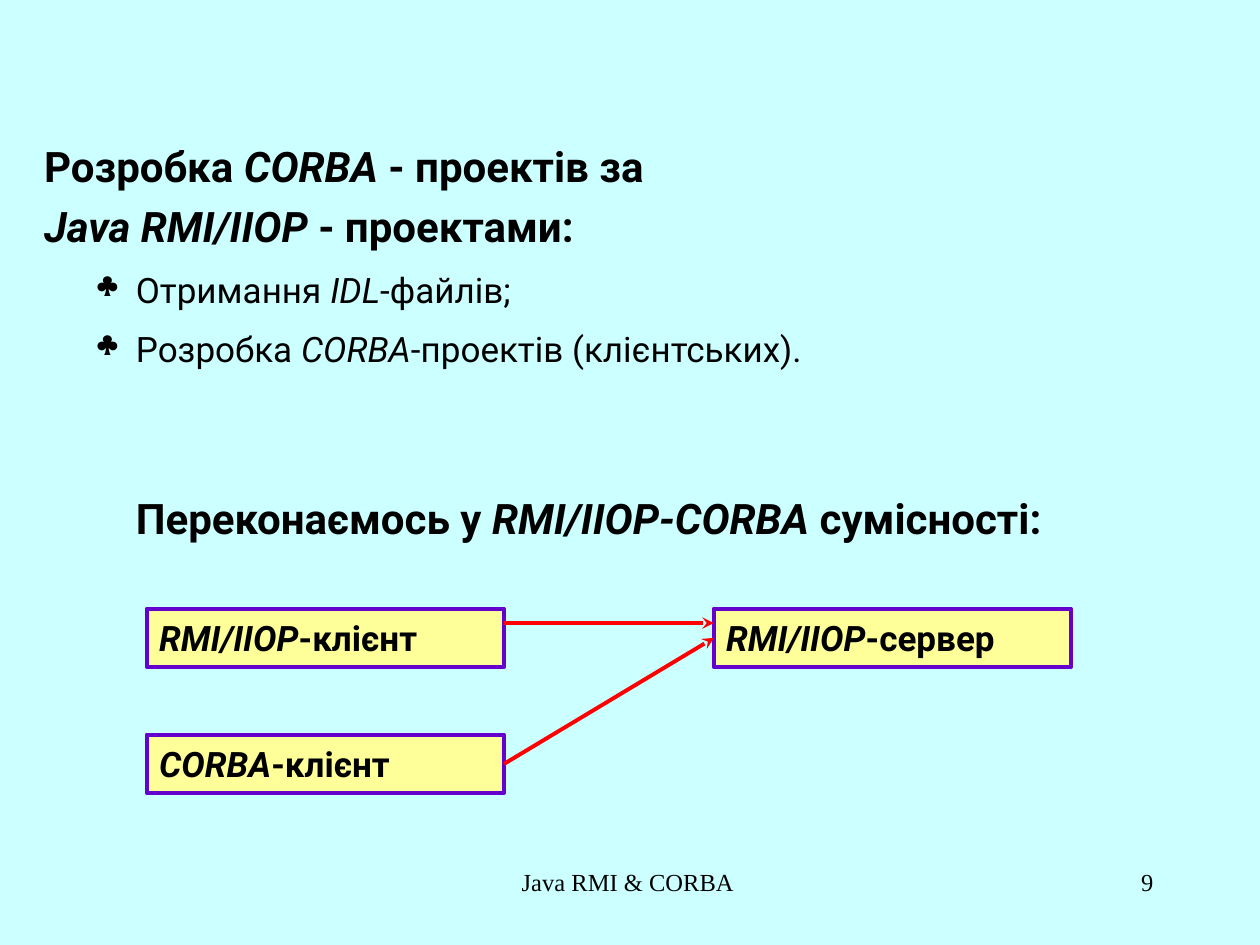
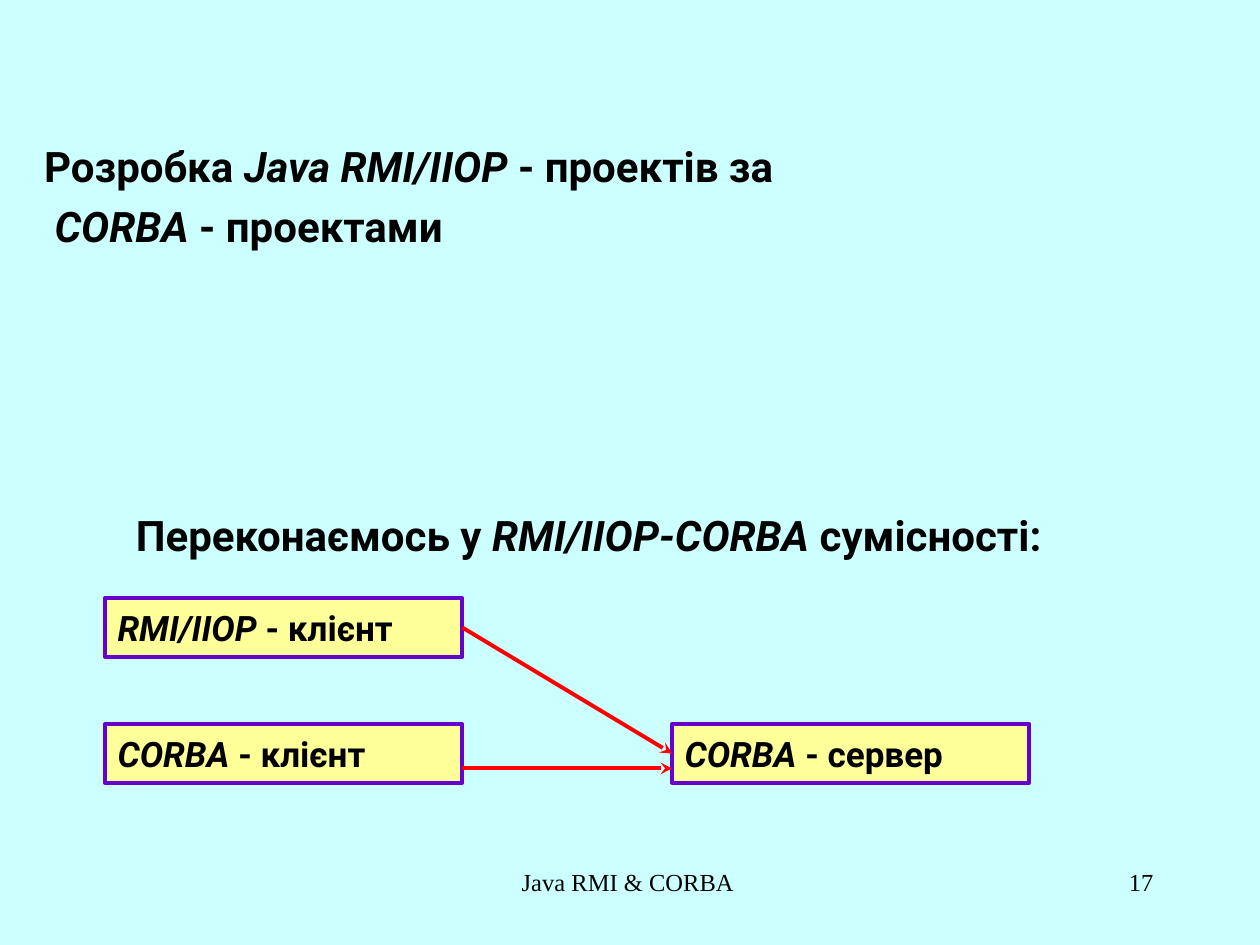
from lxml.etree import SubElement
from pptx import Presentation
from pptx.dml.color import RGBColor
from pptx.enum.shapes import MSO_CONNECTOR, MSO_SHAPE
from pptx.enum.text import MSO_ANCHOR, PP_ALIGN
from pptx.oxml.ns import qn
from pptx.util import Cm, Pt

SKY = RGBColor(0xCC, 0xFF, 0xFF)
YELLOW = RGBColor(0xFF, 0xFF, 0x99)
PURPLE = RGBColor(0x66, 0x00, 0xCC)
RED = RGBColor(0xFF, 0x00, 0x00)
BLACK = RGBColor(0x00, 0x00, 0x00)

BODY_FONT, FOOTER_FONT = "Roboto", "Times New Roman"
RULE_WIDTH = Pt(2.25)
NODE_WIDTH, NODE_HEIGHT = Cm(7.2), Cm(1.18)
COLUMN_STEP, ROW_STEP = Cm(11.43), Cm(2.54)
ARROW_SHIFT = Cm(0.3)
TEXT_INDENT, BULLET_HANG = Cm(1.85), Cm(0.79)

FOOTER = "Java RMI & CORBA "
CLOSING = "Переконаємось у *RMI/IIOP-CORBA* сумісності:"


def write(para, text, size=24, bold=True, font=BODY_FONT, align=PP_ALIGN.LEFT,
          line_spacing=1.0, before=0):
    """Fill a paragraph; asterisks enclose italics and a newline breaks the line."""
    para.alignment = align
    para.line_spacing = line_spacing
    para.space_before = Pt(before)
    for index, part in enumerate(text.split("*")):
        for line_number, line in enumerate(part.split("\n")):
            if line_number:
                para.add_line_break()
            if line:
                span = para.add_run()
                span.text = line
                span.font.name = font
                span.font.size = Pt(size)
                span.font.bold = bold
                span.font.italic = index % 2 == 1
                span.font.color.rgb = BLACK


def indent(para, bullet=None):
    """Indent a paragraph, hanging a bullet in front if one is given."""
    properties = para._p.get_or_add_pPr()
    properties.set("marL", str(TEXT_INDENT))
    properties.set("indent", str(-BULLET_HANG if bullet else 0))
    if bullet:
        color = SubElement(properties, qn("a:buClr"))
        SubElement(color, qn("a:srgbClr"), val=str(BLACK))
        SubElement(properties, qn("a:buSzPct"), val="80000")
        SubElement(properties, qn("a:buChar"), char=bullet)


def add_text_box(page, left, top, width, height):
    """Add an empty wrapping text box and return its frame."""
    frame = page.shapes.add_textbox(left, top, width, height).text_frame
    frame.word_wrap = True
    return frame


def add_body(page, left, top, heading, bullets, closing_gap):
    """Write the heading, the bullet list and the closing line."""
    frame = add_text_box(page, left, top, Cm(23.7), Cm(14.63))
    frame.margin_top = Cm(1.57)
    write(frame.paragraphs[0], heading, line_spacing=1.2)
    for bullet in bullets:
        para = frame.add_paragraph()
        write(para, bullet, size=20, bold=False, line_spacing=1.2, before=5)
        indent(para, "♣")
    para = frame.add_paragraph()
    write(para, CLOSING, line_spacing=1.2, before=closing_gap)
    indent(para)


def add_node(page, left, top, label):
    """Add one framed client or server box."""
    box = page.shapes.add_shape(MSO_SHAPE.RECTANGLE, left, top, NODE_WIDTH, NODE_HEIGHT)
    box.shadow.inherit = False
    box.fill.solid()
    box.fill.fore_color.rgb = YELLOW
    box.line.color.rgb = PURPLE
    box.line.width = RULE_WIDTH
    frame = box.text_frame
    frame.word_wrap = True
    frame.margin_right = 0
    frame.vertical_anchor = MSO_ANCHOR.MIDDLE
    write(frame.paragraphs[0], label, size=20)
    return box


def add_arrow(page, client, server, shift=None):
    """Draw an arrow from client to server, joined unless shifted off the middle."""
    offset = NODE_HEIGHT // 2 + (shift or 0)
    arrow = page.shapes.add_connector(
        MSO_CONNECTOR.STRAIGHT, client.left + client.width, client.top + offset,
        server.left, server.top + offset)
    if shift is None:
        arrow.begin_connect(client, 3)
        arrow.end_connect(server, 1)
    arrow.line.color.rgb = RED
    arrow.line.width = RULE_WIDTH
    SubElement(arrow.line._get_or_add_ln(), qn("a:tailEnd"), type="stealth")
    SubElement(arrow._element.spPr, qn("a:effectLst"))


def add_diagram(page, left, top, clients, server, server_row):
    """Stack the clients on the left and link both to the server on the right."""
    client_boxes = [add_node(page, left, top + row * ROW_STEP, label)
                    for row, label in enumerate(clients)]
    server_box = add_node(page, left + COLUMN_STEP, top + server_row * ROW_STEP, server)
    level_shift = ARROW_SHIFT if server_row else -ARROW_SHIFT
    for row, client_box in enumerate(client_boxes):
        add_arrow(page, client_box, server_box, level_shift if row == server_row else None)


def add_footer(page, top, number):
    """Write the footer title and the page number."""
    for left, width, text, align in (
            (Cm(8.68), Cm(8.05), FOOTER, PP_ALIGN.CENTER),
            (Cm(18.2), Cm(5.3), str(number), PP_ALIGN.RIGHT)):
        frame = add_text_box(page, left, top, width, Cm(1.27))
        write(frame.paragraphs[0], text, size=14, bold=False, font=FOOTER_FONT, align=align)


def add_page(deck, number, heading, bullets, closing_gap, origin, clients, server, server_row):
    """Build one compatibility slide."""
    page = deck.slides.add_slide(deck.slide_layouts[6])
    page.background.fill.solid()
    page.background.fill.fore_color.rgb = SKY
    add_body(page, Cm(0.64), Cm(1.06), heading, bullets, closing_gap)
    add_diagram(page, *origin, clients, server, server_row)
    add_footer(page, Cm(17.36), number)


def main():
    """Build and save the deck."""
    deck = Presentation()
    deck.slide_width, deck.slide_height = Cm(25.4), Cm(19.05)
    add_page(deck, 9,
             heading="Розробка *CORBA *- проектів за \n*Java RMI/IIOP *- проектами:",
             bullets=["Отримання *IDL*-файлів;",
                      "Розробка *CORBA*-проектів (клієнтських)."],
             closing_gap=64.5, origin=(Cm(2.96), Cm(12.27)),
             clients=["*RMI/IIOP*-клієнт", "*CORBA*-клієнт"],
             server="*RMI/IIOP*-сервер", server_row=0)
    add_page(deck, 17,
             heading="Розробка *Java RMI/IIOP *- проектів за \n *CORBA *- проектами",
             bullets=[], closing_gap=142, origin=(Cm(2.12), Cm(12.06)),
             clients=["*RMI/IIOP *- клієнт", "*CORBA *- клієнт"],
             server="*CORBA *- сервер", server_row=1)
    deck.save("out.pptx")


if __name__ == "__main__":
    main()
